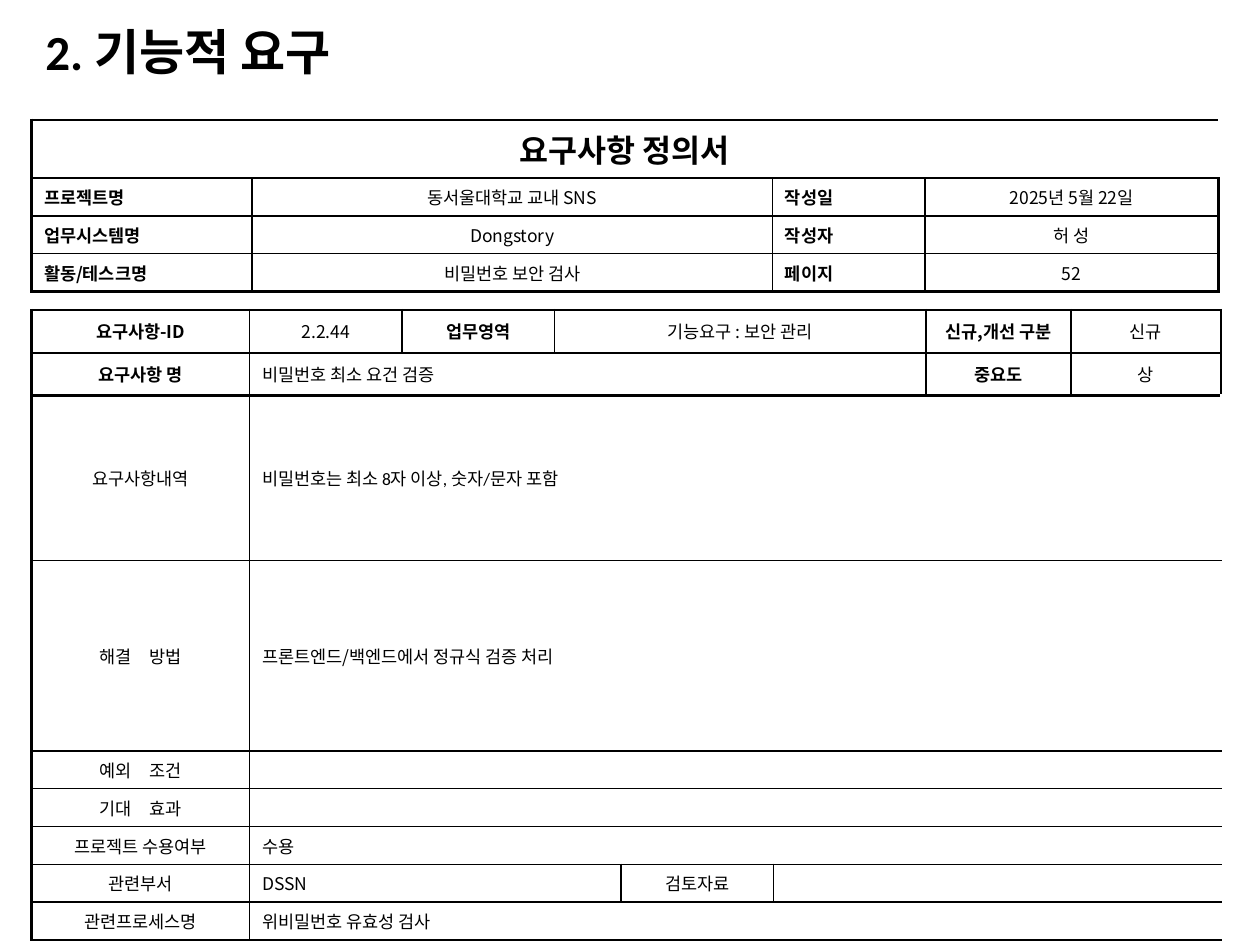
from lxml.etree import SubElement
from pptx import Presentation
from pptx.dml.color import RGBColor
from pptx.enum.text import MSO_ANCHOR, MSO_AUTO_SIZE, PP_ALIGN
from pptx.oxml.ns import qn
from pptx.util import Inches, Pt

LEFT, MID, JUST = PP_ALIGN.LEFT, PP_ALIGN.CENTER, PP_ALIGN.JUSTIFY
CENTER, FIXED = MSO_ANCHOR.MIDDLE, MSO_AUTO_SIZE.NONE
BLACK = RGBColor(0, 0, 0)
SANS, LATIN = "Noto Sans CJK KR", "Calibri"
THIN, THICK = 1, 1.5
COLS, ROWS, STEP = 1000, 750, 0.01


def unit(count):
    """Turn a count of grid steps into a length."""
    return Inches(count * STEP)


class Sheet:
    """Holds the style and the current slide."""

    def __init__(self, deck):
        """Add a slide that has only a title."""
        self.slide = deck.slides.add_slide(deck.slide_layouts[5])

    def style(self, para, size, bold, font, align):
        """Format a paragraph and its runs."""
        para.alignment = align
        for run in para.runs:
            run.font.size, run.font.bold = Pt(size), bold
            run.font.name, run.font.color.rgb = font, BLACK
            SubElement(run.font._element, qn("a:ea"), typeface=SANS)
        if not para.runs:
            SubElement(para._p, qn("a:endParaRPr"), sz=str(size * 100))

    def title(self, text, box):
        """Place and fill the title."""
        shape = self.slide.shapes.title
        shape.left, shape.top, shape.width, shape.height = map(unit, box)
        frame = shape.text_frame
        frame.text, frame.vertical_anchor = text, CENTER
        frame.auto_size, frame.word_wrap = FIXED, True
        para = frame.paragraphs[0]
        para.line_spacing = 0.9
        self.style(para, 28, True, LATIN, LEFT)

    def edge(self, cell, sides):
        """Draw the given sides of a cell."""
        props = cell._tc.get_or_add_tcPr()
        for side in "LRTB":
            if side in sides:
                line = SubElement(props, qn(f"a:ln{side}"), w=str(Pt(sides[side])))
                fill = SubElement(line, qn("a:solidFill"))
                SubElement(fill, qn("a:srgbClr"), val=str(BLACK))
        cell.fill.background()

    def table(self, spot, cols, rows, data, bars, rim):
        """Add a table with thick lines at bars and right of the rim rows."""
        area = (*spot, sum(cols), sum(rows))
        grid = self.slide.shapes.add_table(len(rows), len(cols), *map(unit, area)).table
        grid.first_row = grid.horz_banding = False
        for col, width in zip(grid.columns, cols):
            col.width = unit(width)
        for row, height in zip(grid.rows, rows):
            row.height = unit(height)
        for r, line in enumerate(data):
            col = 0
            for text, kind, span in line:
                size, bold, font, align = kind
                end = col + span - 1
                for c in range(col, end + 1):
                    cell = grid.cell(r, c)
                    cell.text = text if c == col else ""
                    cell.vertical_anchor = CENTER
                    self.style(cell.text_frame.paragraphs[0], size, bold, font, align)
                    sides = {"T": THICK if r in bars else THIN,
                             "B": THICK if r + 1 in bars else THIN}
                    if c == col:
                        sides["L"] = THIN if c else THICK
                    if c == end:
                        last = c == len(cols) - 1
                        sides["R"] = THICK if last and r in rim else THIN
                    self.edge(cell, sides)
                if span > 1:
                    grid.cell(r, col).merge(grid.cell(r, end))
                col = end + 1


BIG = (18, True, SANS, MID)
HEAD = (10, True, SANS, MID)
NAME = (10, True, SANS, JUST)
DATA = (10, False, SANS, MID)
BODY = (10, False, SANS, LEFT)
NOTE = (10, False, LATIN, LEFT)

NEEDS = [
    [("요구사항-ID", HEAD, 1), ("2.2.44", DATA, 1), ("업무영역", HEAD, 1),
     ("기능요구 : 보안 관리", DATA, 3), ("신규,개선 구분", HEAD, 1), ("신규", DATA, 1)],
    [("요구사항 명", HEAD, 1), ("비밀번호 최소 요건 검증", BODY, 5),
     ("중요도", HEAD, 1), ("상", DATA, 1)],
    [("요구사항내역", DATA, 1), ("비밀번호는 최소 8자 이상, 숫자/문자 포함", NOTE, 7)],
    [("해결　방법", DATA, 1), ("프론트엔드/백엔드에서 정규식 검증 처리", BODY, 7)],
    [("예외　조건", DATA, 1), ("", BODY, 7)],
    [("기대　효과", DATA, 1), ("", BODY, 7)],
    [("프로젝트 수용여부", DATA, 1), ("수용", BODY, 7)],
    [("관련부서", DATA, 1), ("DSSN", BODY, 3), ("검토자료", DATA, 1), ("", BODY, 3)],
    [("관련프로세스명", DATA, 1), ("위비밀번호 유효성 검사", BODY, 7)],
]
FACTS = [
    ("프로젝트명", "동서울대학교 교내 SNS", "작성일", "2025년 5월 22일"),
    ("업무시스템명", "Dongstory", "작성자", "허 성"),
    ("활동/테스크명", "비밀번호 보안 검사", "페이지", "52"),
]


def main():
    """Build and save the slide."""
    deck = Presentation()
    deck.slide_width, deck.slide_height = unit(COLS), unit(ROWS)
    sheet = Sheet(deck)
    sheet.title("2. 기능적 요구", (26, 21, 536, 44))
    sheet.table((25, 246), [173, 121, 121, 53, 121, 121, 115, 119],
                [34, 34, 131, 151] + [27] * 5, NEEDS, {0, 1, 2, 9}, {0, 1})
    facts = [[(text, kind, 1) for text, kind in zip(line, (NAME, DATA) * 2)]
             for line in FACTS]
    sheet.table((25, 95), [175, 413, 121, 233], [46] + [27] * 3,
                [[("요구사항 정의서", BIG, 4)]] + facts, {0, 4}, {1, 2, 3})
    deck.save("out.pptx")


if __name__ == "__main__":
    main()
